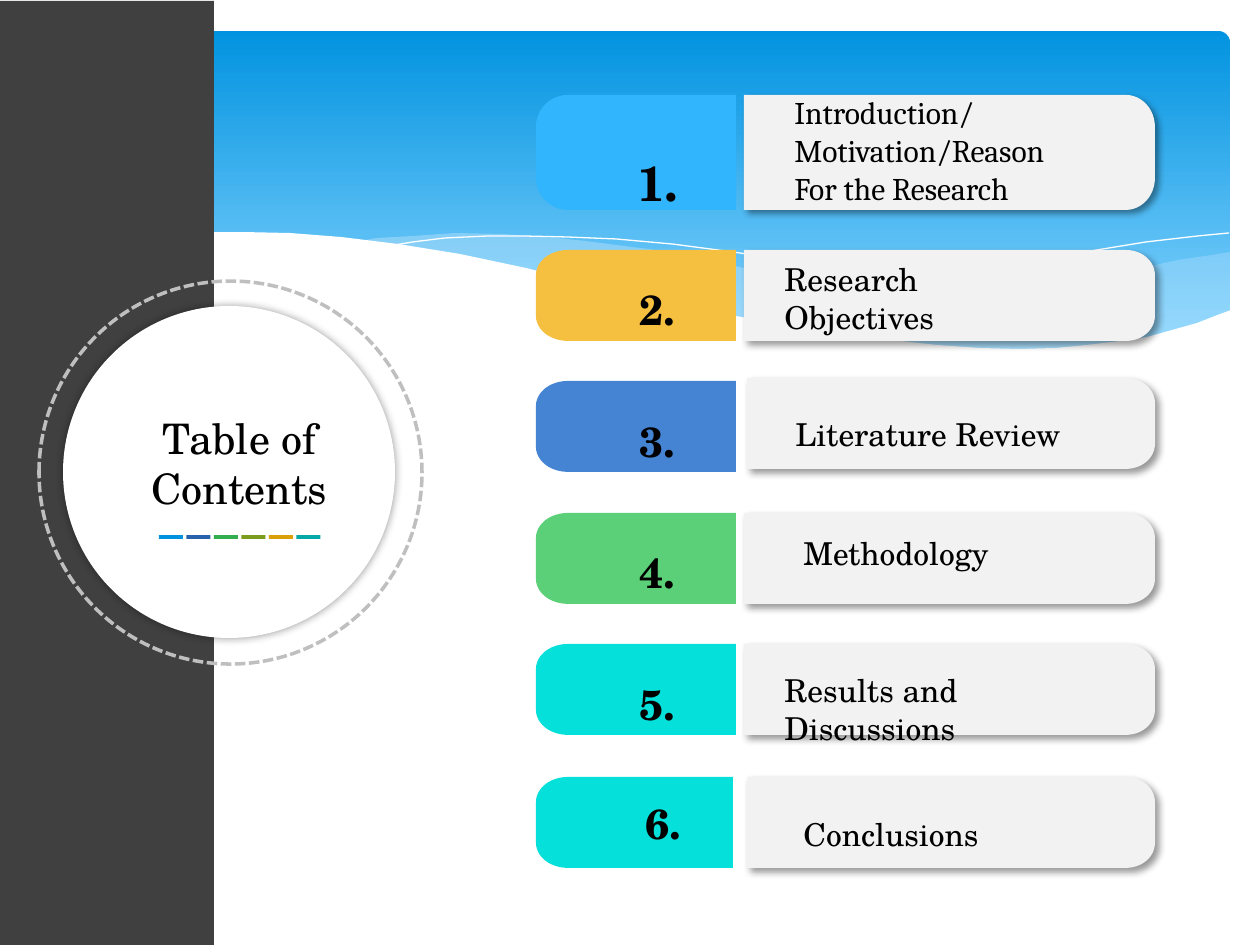
from math import cos, pi, sin

from lxml import etree
from pptx import Presentation
from pptx import util as u
from pptx.dml.color import RGBColor
from pptx.enum import dml, shapes, text
from pptx.oxml.ns import qn

PX = 914400 / 126
FINE = 20  # steps per px, for smooth corners
COLORS = {
    "black": "000000", "white": "FFFFFF", "bar": "404040", "ring": "BFBFBF",
    "sky": "0293E0", "sky_light": "83D3FE", "wave": "C6E7FC", "label": "F2F2F2",
    "blue": "31B6FD", "yellow": "F5C040", "navy": "4584D3", "green": "5BD078",
    "aqua": "05E0DB", "dash1": "0293E0", "dash2": "2862AA", "dash3": "32AE51",
    "dash4": "7C9C1E", "dash5": "DC9F0C", "dash6": "04A8A4",
}
RGB = {name: RGBColor.from_string(value) for name, value in COLORS.items()}
SERIF = "TeX Gyre Schola"

prs = Presentation()
prs.slide_width, prs.slide_height = u.Inches(10), u.Inches(7.5)
s = prs.slides.add_slide(prs.slide_layouts[5])


def paint(sp, fill=None, alpha=None, shadow=None):
    """Fill a shape, without outline; shadow is (blur pt, distance pt, angle)."""
    sp.shadow.inherit = False
    sp.line.fill.background()
    if fill:
        sp.fill.solid()
        sp.fill.fore_color.rgb = RGB[fill]
    else:
        sp.fill.background()
    if alpha:
        clr = sp.element.spPr.find(".//" + qn("a:srgbClr"))
        etree.SubElement(clr, qn("a:alpha"), val=str(alpha * 1000))
    if shadow:
        blur, dist, angle = shadow
        effects = sp.element.spPr.find(qn("a:effectLst"))
        outer = etree.SubElement(effects, qn("a:outerShdw"), blurRad=str(blur * 12700),
                                 dist=str(dist * 12700), dir=str(angle * 60000),
                                 algn="ctr", rotWithShape="0")
        clr = etree.SubElement(outer, qn("a:srgbClr"), val=COLORS["black"])
        etree.SubElement(clr, qn("a:alpha"), val="40000")


def write(sp, box, lines, size, name=SERIF, bold=False, align=text.PP_ALIGN.LEFT):
    """Place a text shape at box (px) and write its paragraphs."""
    for attr, value in zip(("left", "top", "width", "height"), box):
        setattr(sp, attr, round(value * PX))
    tf = sp.text_frame
    frame = {"word_wrap": True, "auto_size": text.MSO_AUTO_SIZE.NONE,
             "vertical_anchor": text.MSO_ANCHOR.TOP}
    for attr, value in frame.items():
        setattr(tf, attr, value)
    for i, line in enumerate(lines):
        p = tf.paragraphs[0] if i == 0 else tf.add_paragraph()
        p.alignment = align
        r = p.add_run()
        r.text = line
        for attr, value in {"size": u.Pt(size), "name": name, "bold": bold}.items():
            setattr(r.font, attr, value)
        r.font.color.rgb = RGB["black"]


# Sky banner
banner = s.shapes.add_shape(shapes.MSO_SHAPE.ROUNDED_RECTANGLE,
                            *(round(v * PX) for v in (31, 31, 1199, 340)))
banner.adjustments[0] = 0.034
paint(banner)
banner.fill.gradient()
banner.fill.gradient_angle = 270
for stop, pos, color in zip(banner.fill.gradient_stops, (0, 0.9), ("sky", "sky_light")):
    stop.position = pos
    stop.color.rgb = RGB[color]

# Waves: points, fill, opacity; those without fill are thin white lines
waves = [
    ([(1230, 252), (1212, 255), (1178, 260), (1142, 268), (1104, 277), (1048, 290),
      (981, 305), (919, 318), (861, 329), (833, 334), (871, 339), (906, 343),
      (939, 346), (970, 349), (1012, 350), (1052, 349), (1087, 347), (1120, 342),
      (1150, 337), (1178, 330), (1213, 318), (1230, 311)], "wave", 29),
    ([(1125, 344), (1091, 339), (1017, 328), (934, 311), (842, 291), (793, 280),
      (753, 270), (717, 262), (682, 255), (648, 249), (616, 245), (586, 241),
      (557, 238), (503, 234), (455, 233), (413, 236), (377, 238), (360, 241),
      (407, 247), (456, 256), (509, 266), (566, 280), (619, 292), (668, 302),
      (736, 317), (799, 329), (857, 338), (911, 345), (958, 349), (1003, 350),
      (1043, 350), (1080, 349), (1103, 346)], "wave", 40),
    ([(389, 246), (413, 242), (445, 238), (488, 236), (524, 236), (567, 237),
      (616, 239), (672, 244), (733, 252), (801, 262), (876, 276), (958, 294),
      (1047, 316), (1143, 343)], None, None),
    ([(772, 324), (823, 310), (876, 296), (942, 281), (1016, 265), (1091, 251),
      (1146, 242), (1198, 236), (1229, 233)], None, None),
    ([(29, 268), (45, 261), (74, 251), (107, 243), (150, 236), (203, 232),
      (243, 232), (290, 233), (341, 237), (398, 244), (460, 254), (526, 268),
      (599, 286), (667, 302), (730, 315), (788, 325), (842, 334), (892, 340),
      (937, 345), (980, 348), (1019, 349), (1055, 348), (1087, 345), (1119, 341),
      (1147, 337), (1172, 330), (1197, 323), (1220, 314), (1231, 310),
      (1231, 415), (29, 415)], "white", None),
]
for points, fill, alpha in waves:
    fb = s.shapes.build_freeform(*points[0], scale=PX)
    fb.add_line_segments(points[1:], close=fill is not None)
    wave = fb.convert_to_shape()
    paint(wave, fill, alpha)
    if not fill:
        wave.line.color.rgb = RGB["white"]
        wave.line.width = 0

# Dark side bar
bar = s.shapes.add_shape(shapes.MSO_SHAPE.RECTANGLE,
                         *(round(v * PX) for v in (-6, 1, 220, 944)))
paint(bar, "bar")

# Contents rows: color, number top, label top, height, number edge, label edge,
# number box (left, top, size), label box, label lines, label font
rows = [
    ("blue", 95, 95, 115, 736, 744, (592, 146, 28), (782, 87, 285, 127),
     ["Introduction/", "Motivation/Reason For the Research"], "Cambria"),
    ("yellow", 250, 250, 91, 736, 744, (592, 277, 24), (772, 254, 267, 88),
     ["Research Objectives"], SERIF),
    ("navy", 381, 378, 91, 736, 747, (592, 409, 24), (783, 409, 365, 50),
     ["Literature Review"], SERIF),
    ("green", 513, 513, 91, 736, 744, (592, 540, 24), (791, 528, 357, 50),
     ["Methodology"], SERIF),
    ("aqua", 644, 644, 91, 736, 744, (592, 672, 24), (772, 665, 267, 88),
     ["Results and Discussions"], SERIF),
    ("aqua", 777, 777, 91, 733, 747, (598, 791, 24), (791, 809, 357, 50),
     ["Conclusions"], SERIF),
]
for i, row in enumerate(rows, 1):
    color, num_y, label_y, h, num_x, label_x, num, label, lines, font = row
    ry = 32 if h > 100 else 25
    # Each tab runs from its square edge to its rounded outer edge
    for edge, outer, rx, y, fill, shadow in (
            (num_x, 536, -32, num_y, color, None),
            (label_x, 1155, 29, label_y, "label", (4, 3, 45))):
        arc = [(rx * sin(k * pi / 24), ry * cos(k * pi / 24)) for k in range(13)]
        points = [(outer - rx + dx, y + ry - dy) for dx, dy in arc]
        points += [(outer - rx + dx, y + h - ry + dy) for dx, dy in reversed(arc)]
        points.append((edge, y + h))
        fb = s.shapes.build_freeform(edge * FINE, y * FINE, scale=PX / FINE)
        fb.add_line_segments([(px * FINE, py * FINE) for px, py in points])
        paint(fb.convert_to_shape(), fill, shadow=shadow)
    left, top, size = num
    write(s.shapes.add_textbox(0, 0, 0, 0), (left, top, 131, 63), [f"{i}."],
          size, bold=True, align=text.PP_ALIGN.CENTER)
    write(s.shapes.add_textbox(0, 0, 0, 0), label, lines, 18, font)

# Title disc with dashed ring
for box, fill, shadow in (((39, 281, 383, 383), None, None),
                          ((63, 306, 332, 332), "white", (5, 0, 0))):
    disc = s.shapes.add_shape(shapes.MSO_SHAPE.OVAL, *(round(v * PX) for v in box))
    paint(disc, fill, shadow=shadow)
    if not fill:
        disc.line.color.rgb = RGB["ring"]
        disc.line.width = u.Pt(2)
        disc.line.dash_style = dml.MSO_LINE.SQUARE_DOT

# Title, brought in front of the disc
title = s.shapes.title
title.element.getparent().append(title.element)
write(title, (84, 406, 311, 115), ["Table of Contents"], 24, align=text.PP_ALIGN.CENTER)

# Colored dashes under the title
for i in range(6):
    dash = s.shapes.add_shape(shapes.MSO_SHAPE.RECTANGLE, *(
        round(v * PX) for v in (159 + 27.5 * i, 535, 24, 4)))
    paint(dash, f"dash{i + 1}")

prs.save("out.pptx")
